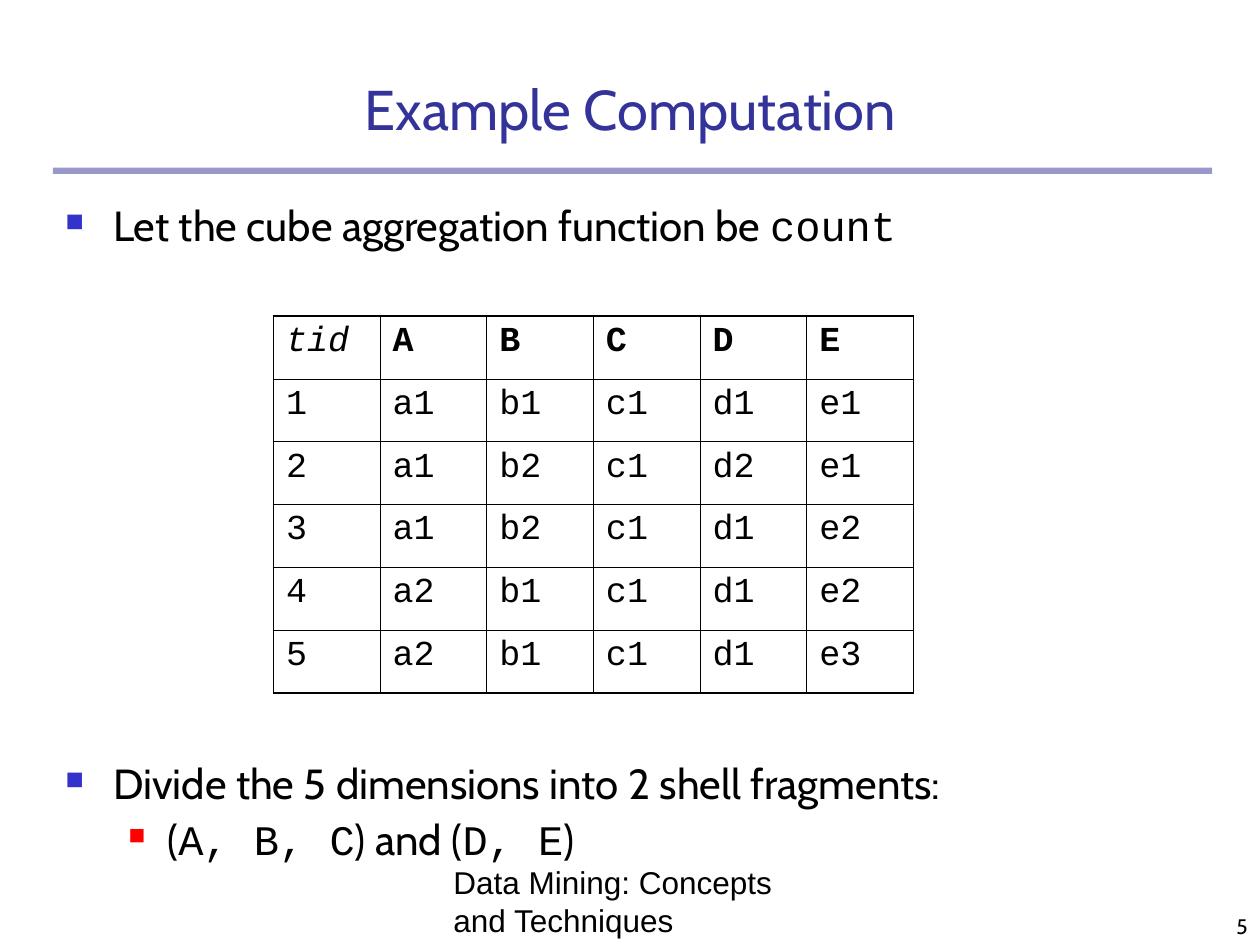
from pptx import Presentation
from pptx import util as u
from pptx.dml.color import RGBColor
from pptx.enum import shapes, text
from pptx.oxml.ns import qn
from lxml import etree

BODY, MONO = "Cabin", "Courier New"
NAVY, BLUE, RED, BLACK = "333399", "3333CC", "FF0000", "000000"


def rgb(value):
    return RGBColor.from_string(value)


def sub(parent, tag, **attrs):
    """Append a DrawingML child element."""
    return etree.SubElement(parent, qn("a:" + tag), attrs)


class Slide:
    """Holds the text style and the current slide."""

    def __init__(self, s, font=BODY, color=BLACK):
        self.s, self.font, self.color = s, font, color

    def style(self, font, size, name=None, color=None):
        font.size = u.Pt(size)
        font.name = name or self.font
        font.color.rgb = rgb(color or self.color)

    def rule(self, x, y, w, h, color, opacity):
        sp = self.s.shapes.add_shape(
            shapes.MSO_SHAPE.RECTANGLE, *map(u.Inches, (x, y, w, h)))
        sp.shadow.inherit = False
        sp.fill.solid()
        sp.fill.fore_color.rgb = rgb(color)
        sp.line.fill.background()
        clr = sp.fill._xPr.find(".//" + qn("a:srgbClr"))
        sub(clr, "alpha", val=str(opacity * 1000))

    def frame(self, x, y, w, h, anchor):
        tf = self.s.shapes.add_textbox(*map(u.Inches, (x, y, w, h))).text_frame
        tf.word_wrap = True
        tf.vertical_anchor = anchor
        return tf

    def label(self, x, y, w, h, words, size, align, name=None, color=None):
        """One bottom-anchored paragraph."""
        p = self.frame(x, y, w, h, text.MSO_ANCHOR.BOTTOM).paragraphs[0]
        p.text = words
        p.alignment = align
        self.style(p.font, size, name, color)

    def bullets(self, x, y, w, h, items, size=24):
        """Items are (level, runs); every second run is monospaced."""
        looks = [(0.38, 0.38, BLUE, 60), (0.81, 0.31, RED, 55)]
        tf = self.frame(x, y, w, h, text.MSO_ANCHOR.TOP)
        for i, (level, runs) in enumerate(items):
            p = tf.add_paragraph() if i else tf.paragraphs[0]
            margin, hang, color, percent = looks[level]
            p.level = level
            pPr = p._p.get_or_add_pPr()
            pPr.set("marL", str(u.Inches(margin)))
            pPr.set("indent", str(-u.Inches(hang)))
            sub(sub(pPr, "buClr"), "srgbClr", val=color)
            sub(pPr, "buSzPct", val=str(percent * 1000))
            sub(pPr, "buChar", char="■")
            p.line_spacing = 0.9
            if i:
                p.space_before = u.Pt(6)
            for j, words in enumerate(runs):
                r = p.add_run()
                r.text = words
                self.style(r.font, size, MONO if j % 2 else BODY)

    def border(self, cell, side, width):
        ln = sub(cell._tc.get_or_add_tcPr(), side, w=str(u.Pt(width)))
        sub(sub(ln, "solidFill"), "srgbClr", val=self.color)

    def table(self, x, y, w, h, rows, size=20, outer=1.08, inner=0.45):
        n, m = len(rows), len(rows[0])
        table = self.s.shapes.add_table(
            n, m, *map(u.Inches, (x, y, w, h))).table
        table.first_row = table.horz_banding = False
        for i, row in enumerate(rows):
            for j, words in enumerate(row):
                cell = table.cell(i, j)
                edges = {"lnL": j == 0, "lnR": j == m - 1,
                         "lnT": i == 0, "lnB": i == n - 1}
                for side, outside in edges.items():
                    self.border(cell, side, outer if outside else inner)
                cell.fill.background()
                p = cell.text_frame.paragraphs[0]
                p.text = words
                self.style(p.font, size, MONO)
                p.font.italic = i == 0 and j == 0
                p.font.bold = i == 0 and j > 0


def main():
    prs = Presentation()
    prs.slide_width, prs.slide_height = u.Inches(10), u.Inches(7.5)
    s = Slide(prs.slides.add_slide(prs.slide_layouts[6]))
    align = text.PP_ALIGN

    s.rule(0.42, 1.33, 9.2, 0.05, NAVY, 50)
    s.label(0.42, 0.42, 9.17, 0.75, "Example Computation", 32,
            align.CENTER, color=NAVY)
    s.bullets(0.42, 1.58, 9.17, 0.5, [
        (0, ["Let the cube aggregation function be ", "count"])])
    s.table(2.17, 2.51, 5.08, 2.99, [line.split() for line in (
        "tid A B C D E",
        "1 a1 b1 c1 d1 e1",
        "2 a1 b2 c1 d2 e1",
        "3 a1 b2 c1 d1 e2",
        "4 a2 b1 c1 d1 e2",
        "5 a2 b1 c1 d1 e3")])
    s.bullets(0.42, 6.01, 9.17, 1, [
        (0, ["Divide the 5 dimensions into 2 shell fragments:"]),
        (1, ["(", "A, B, C", ") and (", "D, E", ")"])])
    s.label(3.5, 6.92, 3.17, 0.58, "Data Mining: Concepts and Techniques",
            18, align.LEFT, name="Arial")
    s.label(7.92, 7, 2.08, 0.5, "5", 12, align.RIGHT)
    prs.save("out.pptx")


if __name__ == "__main__":
    main()
